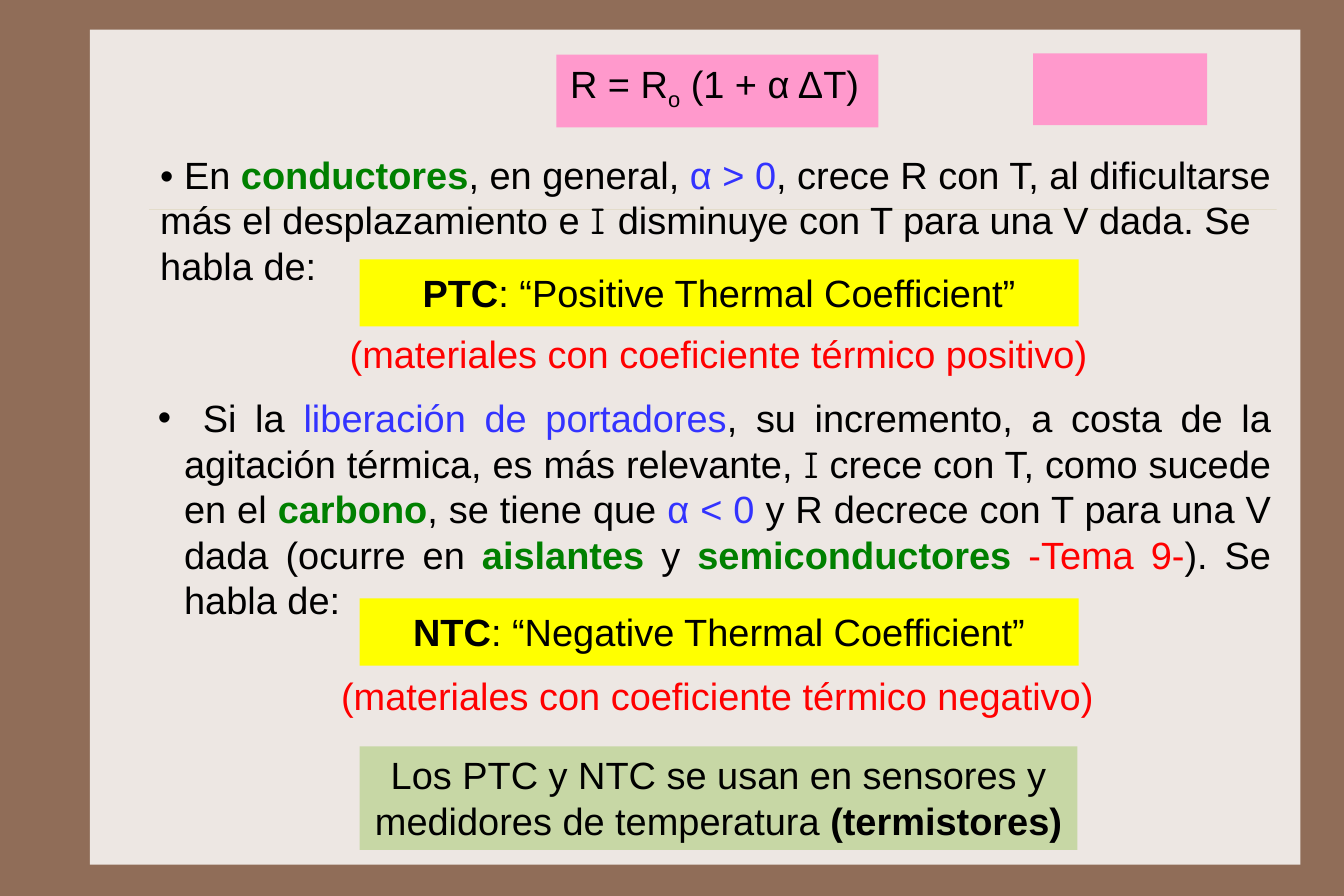
from dataclasses import dataclass
from typing import Optional

from lxml import etree
from pptx import Presentation
from pptx.dml.color import RGBColor
from pptx.enum import shapes, text
from pptx.oxml import ns
from pptx.util import Inches, Pt


@dataclass(frozen=True)
class Theme:
    frame: str = "906D58"
    paper: str = "EDE7E3"
    rule: str = "CBBD83"
    ink: str = "000000"
    blue: str = "3333FF"
    green: str = "008000"
    red: str = "FF0000"
    pink: str = "FF99CC"
    yellow: str = "FFFF00"
    sage: str = "C7D7A5"
    face: str = "Arial"
    symbol_face: str = "Comic Neue"
    size: float = 24
    rule_width: float = 0.25
    rule_opacity: int = 40


THEME = Theme()


@dataclass(frozen=True)
class Span:
    words: str
    color: str = THEME.ink
    bold: bool = False
    face: str = THEME.face
    baseline: int = 0


@dataclass(frozen=True)
class Block:
    left: float
    top: float
    width: float
    height: float
    spans: tuple[Span, ...] = ()
    fill: Optional[str] = None
    align: Optional[text.PP_ALIGN] = None
    margins: tuple[float, float, float, float] = (0.1, 0.09, 0.1, 0.09)
    anchor: text.MSO_ANCHOR = text.MSO_ANCHOR.TOP
    wrap: bool = True
    bullet: bool = False


def key(words: str) -> Span:
    return Span(words, THEME.green, bold=True)


def blue(words: str) -> Span:
    return Span(words, THEME.blue)


def current(words: str) -> Span:
    return Span(words, face=THEME.symbol_face)


def add_bullet(para) -> None:
    properties = para._p.get_or_add_pPr()
    properties.set("marL", str(Inches(0.23)))
    properties.set("indent", str(-Inches(0.23)))
    font = etree.SubElement(properties, ns.qn("a:buFont"))
    font.set("typeface", THEME.face)
    mark = etree.SubElement(properties, ns.qn("a:buChar"))
    mark.set("char", "•")


def write_spans(para, spans: tuple[Span, ...]) -> None:
    for span in spans:
        run = para.add_run()
        run.text = span.words
        run.font.name = span.face
        run.font.size = Pt(THEME.size)
        run.font.bold = span.bold
        run.font.color.rgb = RGBColor.from_string(span.color)
        if span.baseline:
            run._r.get_or_add_rPr().set("baseline", str(span.baseline * 1000))


def draw_block(page, block: Block) -> None:
    place = [Inches(n) for n in (block.left, block.top, block.width, block.height)]
    if block.fill:
        box = page.shapes.add_shape(shapes.MSO_SHAPE.RECTANGLE, *place)
        box.shadow.inherit = False
        box.fill.solid()
        box.fill.fore_color.rgb = RGBColor.from_string(block.fill)
        box.line.fill.background()
    else:
        box = page.shapes.add_textbox(*place)
    if not block.spans:
        return
    frame = box.text_frame
    frame.word_wrap = block.wrap
    frame.auto_size = text.MSO_AUTO_SIZE.SHAPE_TO_FIT_TEXT
    frame.vertical_anchor = block.anchor
    (frame.margin_left, frame.margin_top,
     frame.margin_right, frame.margin_bottom) = [Inches(n) for n in block.margins]
    para = frame.paragraphs[0]
    para.alignment = block.align or text.PP_ALIGN.LEFT
    if block.bullet:
        add_bullet(para)
    write_spans(para, block.spans)


def draw_rule(page) -> None:
    rule = page.shapes.add_connector(
        shapes.MSO_CONNECTOR.STRAIGHT,
        Inches(1.31), Inches(1.84), Inches(11.22), Inches(1.84),
    )
    rule.line.color.rgb = RGBColor.from_string(THEME.rule)
    rule.line.width = Pt(THEME.rule_width)
    properties = rule._element.spPr
    color = properties.find(".//" + ns.qn("a:srgbClr"))
    opacity = etree.SubElement(color, ns.qn("a:alpha"))
    opacity.set("val", str(THEME.rule_opacity * 1000))
    etree.SubElement(properties, ns.qn("a:effectLst"))


def coefficient(top: float, short: str, name: str) -> Block:
    return Block(
        3.16, top, 6.32, 0.59,
        (Span(short, bold=True), Span(f": “{name} Thermal Coefficient”")),
        THEME.yellow, text.PP_ALIGN.CENTER,
    )


def meaning(left: float, top: float, width: float, sign: str) -> Block:
    return Block(
        left, top, width, 0.5,
        (Span(f"(materiales con coeficiente térmico {sign})", THEME.red),),
        align=text.PP_ALIGN.CENTER, margins=(0.1, 0.05, 0.1, 0.05), wrap=False,
    )


CARBON = Block(
    1.29, 3.38, 9.98, 2.2,
    (
        Span(" Si la "),
        blue("liberación de portadores"),
        Span(", su incremento, a costa de la agitación térmica, es más relevante, "),
        current("I"),
        Span(" crece con T, como sucede en el "),
        key("carbono"),
        Span(", se tiene que "),
        blue("α < 0 "),
        Span("y R decrece con T para una V dada (ocurre en "),
        key("aislantes"),
        Span(" y "),
        key("semiconductores "),
        Span("-Tema 9-", THEME.red),
        Span("). Se habla de:"),
    ),
    align=text.PP_ALIGN.JUSTIFY, bullet=True,
)
CONDUCTORS = Block(
    1.31, 1.24, 10.22, 1.39,
    (
        Span("• En "),
        key("conductores"),
        Span(", en general, "),
        blue("α > 0"),
        Span(", crece R con T, al dificultarse más el desplazamiento e "),
        current("I "),
        Span("disminuye con T para una V dada. Se habla de:"),
    ),
)
FORMULA = Block(
    4.89, 0.48, 2.83, 0.64,
    (Span("R = R"), Span("o", baseline=-25), Span(" (1 + α ΔT)")),
    THEME.pink, margins=(0.12, 0.08, 0.12, 0.16),
    anchor=text.MSO_ANCHOR.MIDDLE, wrap=False,
)
THERMISTORS = Block(
    3.16, 6.56, 6.31, 0.91,
    (
        Span("Los PTC y NTC se usan en sensores y medidores de temperatura "),
        Span("(termistores)", bold=True),
    ),
    THEME.sage, text.PP_ALIGN.CENTER, (0.1, 0.05, 0.1, 0.05),
)
BLOCKS = (
    CARBON,
    CONDUCTORS,
    FORMULA,
    coefficient(2.28, "PTC", "Positive"),
    coefficient(5.26, "NTC", "Negative"),
    THERMISTORS,
    meaning(2.94, 2.86, 6.75, "positivo"),
    meaning(2.86, 5.86, 6.89, "negativo"),
    Block(9.08, 0.47, 1.53, 0.63, fill=THEME.pink),
)


def main() -> None:
    deck = Presentation()
    deck.slide_width, deck.slide_height = Inches(189 / 16), Inches(63 / 8)
    page = deck.slides.add_slide(deck.slide_layouts[6])
    page.background.fill.solid()
    page.background.fill.fore_color.rgb = RGBColor.from_string(THEME.frame)
    draw_block(page, Block(0.79, 0.26, 10.64, 7.34, fill=THEME.paper))
    draw_rule(page)
    for block in BLOCKS:
        draw_block(page, block)
    deck.save("out.pptx")


if __name__ == "__main__":
    main()
